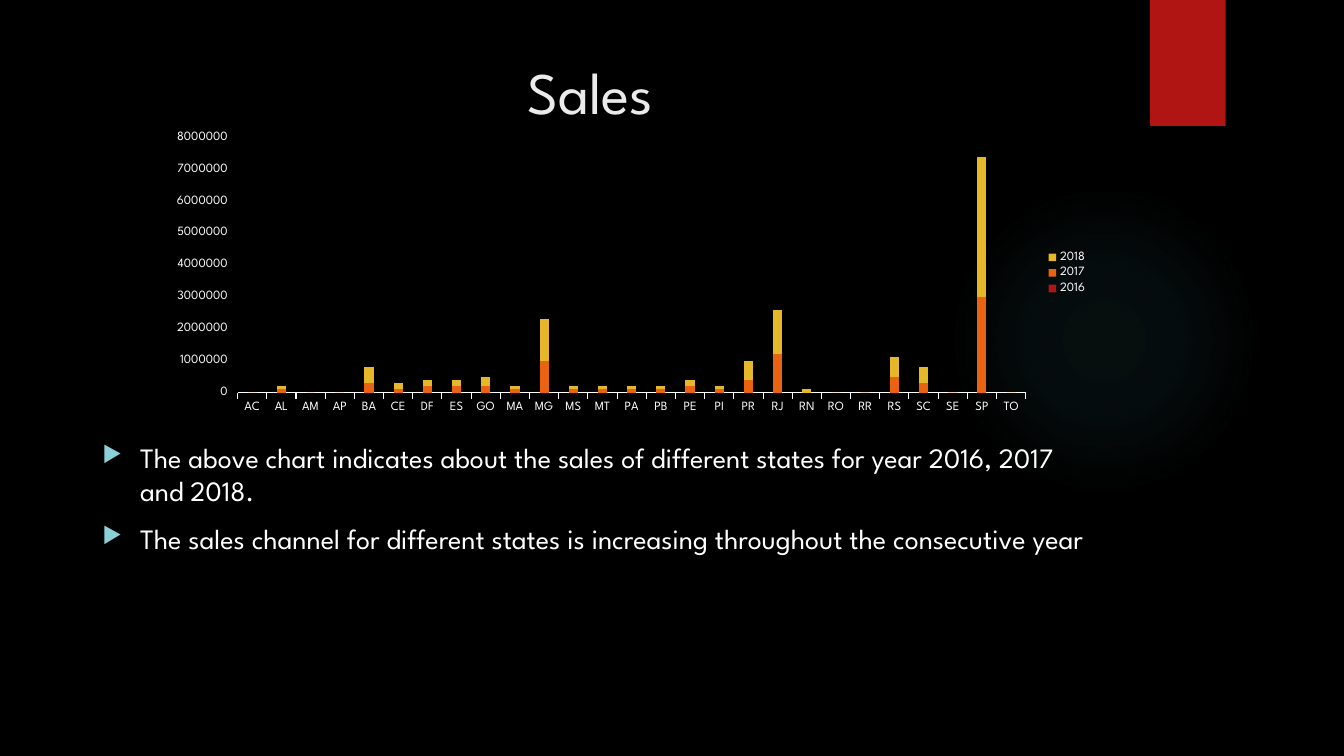
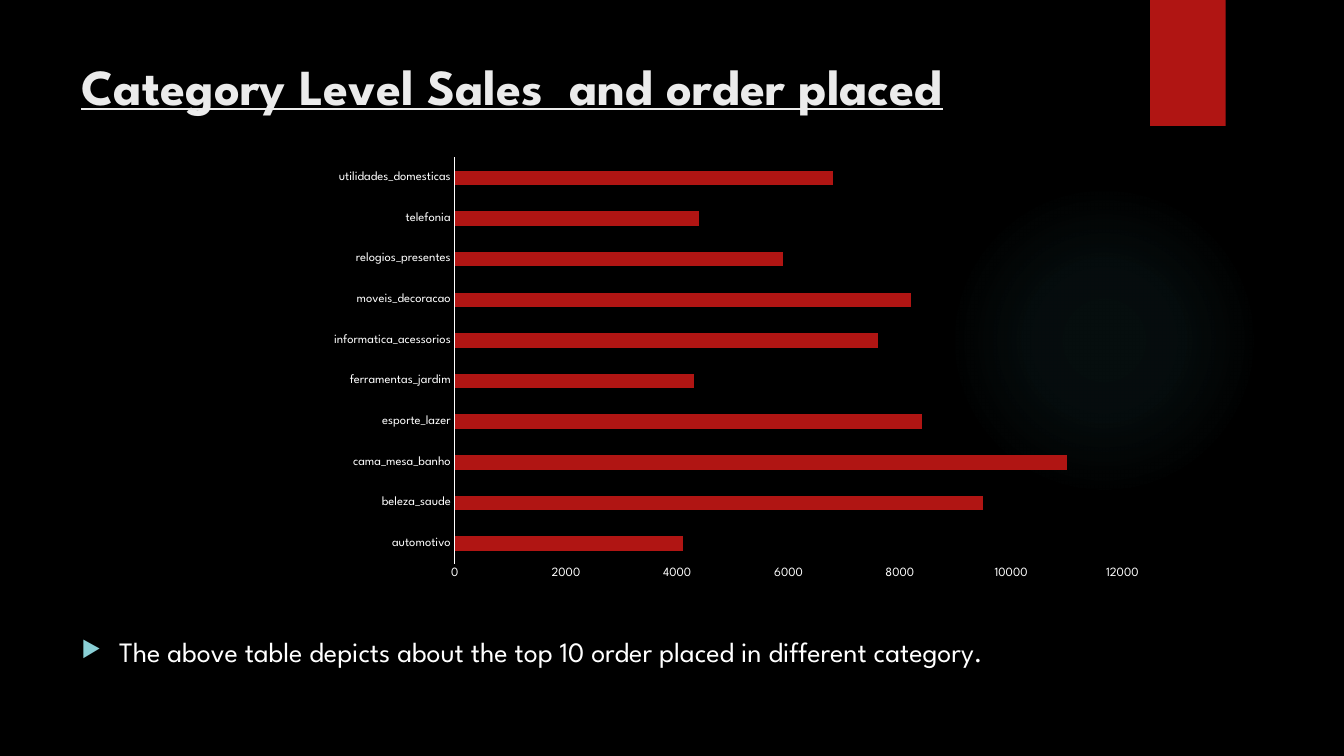
from dataclasses import dataclass
from typing import NamedTuple

from lxml import etree
from pptx import Presentation
from pptx import util as u
from pptx.chart.data import CategoryChartData
from pptx.dml.color import RGBColor
from pptx.enum import chart as ch, shapes, text
from pptx.oxml.ns import qn


@dataclass(frozen=True)
class Theme:
    font: str = "League Spartan"
    background: str = "000000"
    title: str = "EBEBEB"
    text: str = "FFFFFF"
    bullet: str = "8AD0D6"
    glow: str = "50B9C1"
    red: str = "B01513"
    orange: str = "EA6312"
    yellow: str = "E6B729"
    body_size: float = 20
    axis_size: float = 9


class Box(NamedTuple):
    """Left, top, width and height in points."""
    left: float
    top: float
    width: float
    height: float

    def place(self):
        return [u.Pt(value) for value in self]


THEME = Theme()
SLIDE_SIZE = (960, 540)
TITLE_BOX = Box(51, 36, 741, 110)
GLOW_BOX = Box(677.5, 132, 222, 222)
RIBBON_BOX = Box(821.5, 0, 54, 90)
GLOW_STOPS = ((0, 7), (36, 6), (69, 0), (100, 0))  # position %, opacity %

STATES = ("AC AL AM AP BA CE DF ES GO MA MG MS MT PA PB PE PI PR RJ RN RO RR "
          "RS SC SE SP TO").split()
NO = None
SALES = {  # in units of 100000
    "2016": (NO, 0, NO, NO, 0, 0, 0, 0, 0, 0, 0, NO, 0, 0, 0, 0, 0, 0, 0, 0,
             NO, 0, 0, 0, 0, 0, NO),
    "2017": (0, 1, 0, 0, 3, 1, 2, 2, 2, 1, 10, 1, 1, 1, 1, 2, 1, 4, 12, 0,
             0, 0, 5, 3, 0, 30, 0),
    "2018": (0, 1, 0, 0, 5, 2, 2, 2, 3, 1, 13, 1, 1, 1, 1, 2, 1, 6, 14, 1,
             0, 0, 6, 5, 0, 44, 0),
}
ORDERS = {
    "automotivo": 4100, "beleza_saude": 9500, "cama_mesa_banho": 11000,
    "esporte_lazer": 8400, "ferramentas_jardim": 4300,
    "informatica_acessorios": 7600, "moveis_decoracao": 8200,
    "relogios_presentes": 5900, "telefonia": 4400,
    "utilidades_domesticas": 6800,
}


def add_node(parent, tag, **attributes):
    return etree.SubElement(parent, qn(tag),
                            {key: str(value) for key, value in attributes.items()})


def style_font(font, size, color, bold=False, underline=False):
    font.name = THEME.font
    font.size = u.Pt(size)
    font.color.rgb = RGBColor.from_string(color)
    font.bold = bold
    font.underline = underline


def write_text(para, words, *, size, color=THEME.text, align=text.PP_ALIGN.LEFT,
               bold=False, underline=False, bullet=False):
    """Write one formatted paragraph, optionally with a triangle bullet."""
    para.alignment = align
    if bullet:
        para.space_before = u.Pt(10)
        props = para._p.get_or_add_pPr()
        props.set("marL", str(u.Pt(27)))
        props.set("indent", str(u.Pt(-27)))
        add_node(add_node(props, "a:buClr"), "a:srgbClr", val=THEME.bullet)
        add_node(props, "a:buSzPct", val=80000)
        add_node(props, "a:buChar", char="▶")
    span = para.add_run()
    span.text = words
    style_font(span.font, size, color, bold, underline)


def prepare_frame(frame):
    frame.word_wrap = True
    frame.auto_size = text.MSO_AUTO_SIZE.NONE
    frame.vertical_anchor = text.MSO_ANCHOR.TOP


# Shared decoration
def add_plain_shape(slide, kind, box):
    shape = slide.shapes.add_shape(kind, *box.place())
    shape.shadow.inherit = False
    shape.line.fill.background()
    return shape


def add_glow(slide, box):
    shape = add_plain_shape(slide, shapes.MSO_SHAPE.OVAL, box)
    shape.fill.background()
    empty_fill = shape._element.spPr.find(qn("a:noFill"))
    gradient = etree.Element(qn("a:gradFill"), rotWithShape="1")
    stops = add_node(gradient, "a:gsLst")
    for position, opacity in GLOW_STOPS:
        stop = add_node(stops, "a:gs", pos=position * 1000)
        color = add_node(stop, "a:srgbClr", val=THEME.glow)
        add_node(color, "a:alpha", val=opacity * 1000)
    circle = add_node(gradient, "a:path", path="circle")
    add_node(circle, "a:fillToRect", l=50000, t=50000, r=50000, b=50000)
    empty_fill.getparent().replace(empty_fill, gradient)


def add_ribbon(slide, box):
    ribbon = add_plain_shape(slide, shapes.MSO_SHAPE.RECTANGLE, box)
    ribbon.fill.solid()
    ribbon.fill.fore_color.rgb = RGBColor.from_string(THEME.red)


def start_slide(deck, heading, **title_format):
    """Add a slide with its decoration and title."""
    slide = deck.slides.add_slide(deck.slide_layouts[5])
    add_glow(slide, GLOW_BOX)
    add_ribbon(slide, RIBBON_BOX)
    title = slide.shapes.title
    title.left, title.top, title.width, title.height = TITLE_BOX.place()
    prepare_frame(title.text_frame)
    write_text(title.text_frame.paragraphs[0], heading, color=THEME.title,
               **title_format)
    return slide


def add_bullets(slide, box, lines):
    frame = slide.shapes.add_textbox(*box.place()).text_frame
    prepare_frame(frame)
    for index, line in enumerate(lines):
        para = frame.add_paragraph() if index else frame.paragraphs[0]
        write_text(para, line, size=THEME.body_size, bullet=True)


# Charts
def style_axis(axis, tick):
    axis.has_major_gridlines = False
    axis.major_tick_mark = tick
    axis.minor_tick_mark = ch.XL_TICK_MARK.NONE
    style_font(axis.tick_labels.font, THEME.axis_size, THEME.text)


def add_bar_chart(slide, box, kind, categories, series, colors, *, gap, top,
                  step, tick=ch.XL_TICK_MARK.NONE):
    data = CategoryChartData()
    data.categories = categories
    for name, values in series.items():
        data.add_series(name, values)
    chart = slide.shapes.add_chart(kind, *box.place(), data).chart
    chart.has_title = False
    chart.has_legend = False
    style_font(chart.font, 10, THEME.text)

    plot = chart.plots[0]
    plot.gap_width = gap
    plot.vary_by_categories = False
    for item, color in zip(plot.series, colors):
        item.format.fill.solid()
        item.format.fill.fore_color.rgb = RGBColor.from_string(color)
        item.invert_if_negative = False

    for axis in (chart.category_axis, chart.value_axis):
        style_axis(axis, tick)
    line = chart.category_axis.format.line
    line.color.rgb = RGBColor.from_string(THEME.text)
    line.width = u.Pt(0.75)
    values = chart.value_axis
    values.format.line.fill.background()
    values.minimum_scale, values.maximum_scale = 0, top
    values.major_unit = step
    values.tick_labels.number_format = "General"
    values.tick_labels.number_format_is_linked = False
    return chart


def add_side_legend(chart):
    chart.has_legend = True
    chart.legend.position = ch.XL_LEGEND_POSITION.RIGHT
    chart.legend.include_in_layout = False
    style_font(chart.legend.font, THEME.axis_size, THEME.text)


def fix_plot_area(chart, **fractions):
    """Pin the inner plot area to fractions (x, y, w, h) of the chart."""
    area = chart._chartSpace.chart.plotArea
    for old in area.findall(qn("c:layout")):
        area.remove(old)
    layout = etree.Element(qn("c:layout"))
    area.insert(0, layout)
    manual = add_node(layout, "c:manualLayout")
    add_node(manual, "c:layoutTarget", val="inner")
    for side in "xy":
        add_node(manual, f"c:{side}Mode", val="edge")
    for key, value in fractions.items():
        add_node(manual, f"c:{key}", val=value)


# Slides
def build_state_sales(deck):
    slide = start_slide(deck, "Sales", size=42, align=text.PP_ALIGN.CENTER)
    add_bullets(slide, Box(66, 311, 725, 181), [
        "The above chart indicates about the sales of different states for "
        "year 2016, 2017 and 2018.",
        "The sales channel for different states is increasing throughout the "
        "consecutive year",
    ])
    series = {year: [NO if value is NO else value * 100000 for value in values]
              for year, values in SALES.items()}
    chart = add_bar_chart(
        slide, Box(113, 90, 671, 210), ch.XL_CHART_TYPE.COLUMN_STACKED, STATES,
        series, (THEME.red, THEME.orange, THEME.yellow), gap=219, top=8000000,
        step=1000000, tick=ch.XL_TICK_MARK.OUTSIDE)
    chart.plots[0].overlap = 100
    add_side_legend(chart)


def build_category_orders(deck):
    slide = start_slide(deck, "Category Level Sales  and order placed", size=36,
                        bold=True, underline=True)
    add_bullets(slide, Box(51, 450, 875, 71), [
        "The above table depicts about the top 10 order placed in different "
        "category.",
    ])
    chart = add_bar_chart(
        slide, Box(75, 96, 757, 330), ch.XL_CHART_TYPE.BAR_CLUSTERED,
        list(ORDERS), {"Series 1": list(ORDERS.values())}, (THEME.red,),
        gap=182, top=12000, step=2000)
    fix_plot_area(chart, x=0.33, y=0.05, w=0.63, h=0.88)


def main():
    deck = Presentation()
    deck.slide_width, deck.slide_height = (u.Pt(side) for side in SLIDE_SIZE)
    backdrop = deck.slide_master.background.fill
    backdrop.solid()
    backdrop.fore_color.rgb = RGBColor.from_string(THEME.background)
    build_state_sales(deck)
    build_category_orders(deck)
    deck.save("out.pptx")


if __name__ == "__main__":
    main()
